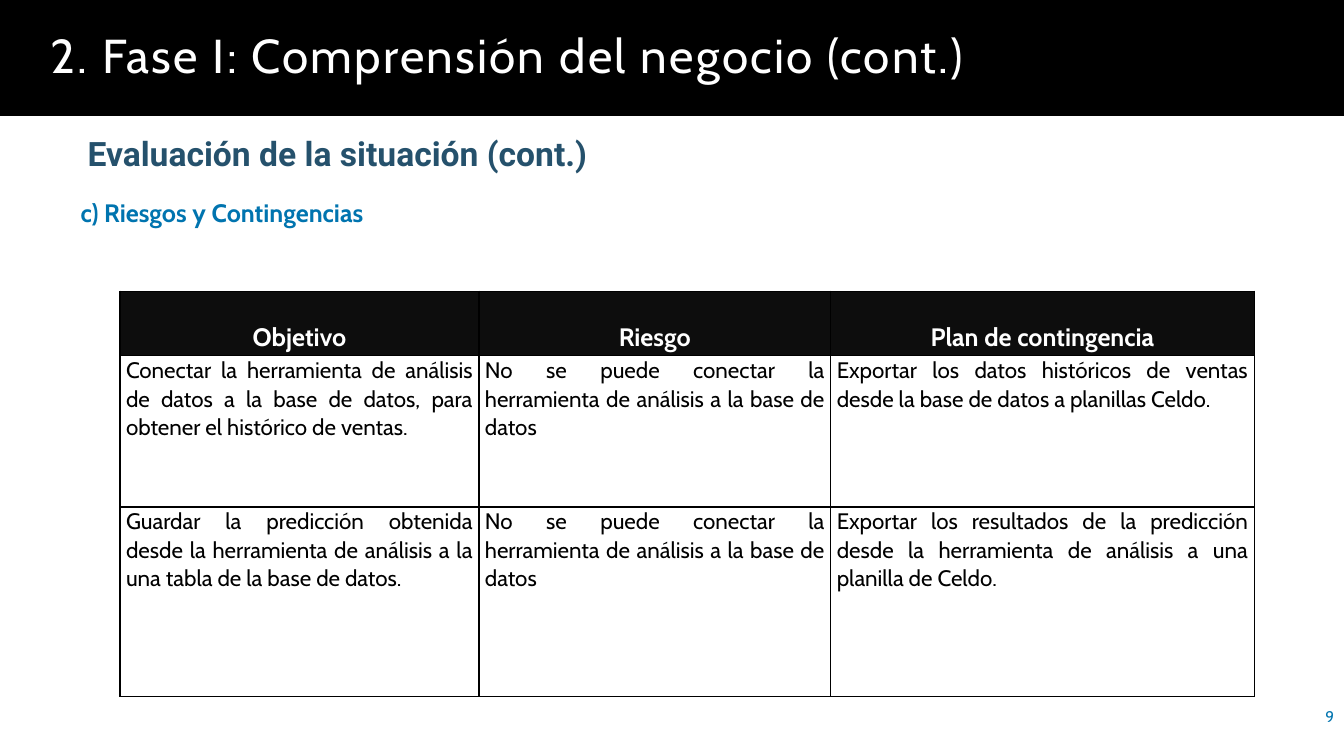
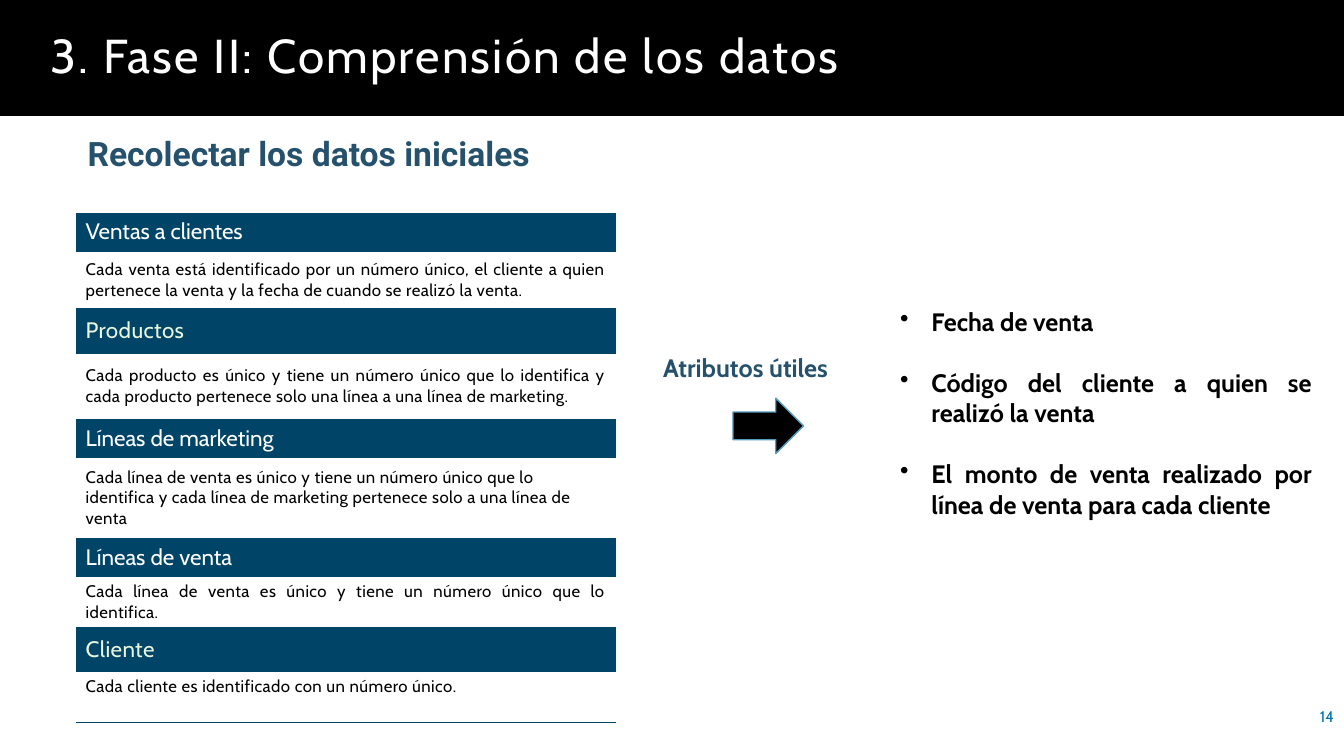
from lxml import etree
from pptx import Presentation
from pptx.dml.color import RGBColor
from pptx.enum.shapes import MSO_SHAPE as Shape
from pptx.enum.text import MSO_ANCHOR as Anchor, PP_ALIGN as Align
from pptx.oxml.ns import qn
from pptx.util import Inches, Pt

BLACK = RGBColor(0x00, 0x00, 0x00)
WHITE = RGBColor(0xFF, 0xFF, 0xFF)
HEADER_BLACK = RGBColor(0x0D, 0x0D, 0x0D)
BLUE = RGBColor(0x00, 0x74, 0xAF)
SLATE = RGBColor(0x25, 0x51, 0x6C)
NAVY = RGBColor(0x00, 0x45, 0x68)
PALE_GREEN = RGBColor(0xE9, 0xF6, 0xDC)
ARROW_EDGE = RGBColor(0x57, 0x9B, 0xBD)
BODY_FONT, SUBTITLE_FONT = "Cabin", "Roboto"
NO_TABLE_STYLE = "{2D5ABB26-0587-4C30-8999-92F81FD0307C}"
SLIDE_WIDTH, SLIDE_HEIGHT = 13.33, 7.5

RISK_COLUMNS = [3.56, 3.49, 4.2]
RISK_ROW_HEIGHTS = [0.64, 1.5, 1.88]
RISKS = [
    ("Objetivo", "Riesgo", "Plan de contingencia"),
    ("Conectar la herramienta de análisis de datos a la base de datos, para obtener el histórico de ventas.",
     "No se puede conectar la herramienta de análisis a la base de datos",
     "Exportar los datos históricos de ventas desde la base de datos a planillas Celdo."),
    ("Guardar la predicción obtenida desde la herramienta de análisis a la una tabla de la base de datos.",
     "No se puede conectar la herramienta de análisis a la base de datos",
     "Exportar los resultados de la predicción desde la herramienta de análisis a una planilla de Celdo."),
]

# Each table: top, then (heading, heading colour, spacing, heading height,
# description, alignment, anchor, description height)
ENTITY_TABLES = [
    (2.11, [
        ("Ventas a clientes", WHITE, 0, 0.38,
         "Cada venta está identificado por un número único, el cliente a quien pertenece la venta "
         "y la fecha de cuando se realizó la venta.", Align.JUSTIFY, Anchor.MIDDLE, 0.57),
        ("Productos", PALE_GREEN, 0.3, 0.44,
         "Cada producto es único y tiene un número único que lo identifica y cada producto pertenece "
         "solo una línea a una línea de marketing.", Align.JUSTIFY, Anchor.MIDDLE, 0.66),
        ("Líneas de marketing", WHITE, 0, 0.38,
         "Cada línea de venta es único y tiene un número único que lo identifica y cada línea de "
         "marketing pertenece solo a una línea de venta", Align.LEFT, Anchor.MIDDLE, 0.8),
    ]),
    (5.34, [
        ("Líneas de venta", WHITE, 0, 0.38,
         "Cada línea de venta es único y tiene un número único que lo identifica.",
         Align.JUSTIFY, Anchor.MIDDLE, 0.5),
        ("Cliente", PALE_GREEN, 0.3, 0.44,
         "Cada cliente es identificado con un número único.", Align.JUSTIFY, Anchor.TOP, 0.5),
    ]),
]
USEFUL_ATTRIBUTES = [
    "Fecha de venta",
    "Código del cliente a quien se realizó la venta",
    "El monto de venta realizado por línea de venta para cada cliente",
]


def write(paragraph, text, size, color, bold=False, font=BODY_FONT, align=Align.LEFT, spacing=0):
    """Fill a paragraph; spacing is the letter spacing in points."""
    run = paragraph.add_run()
    run.text = text
    paragraph.alignment = align
    paragraph.font.name = font
    paragraph.font.size = Pt(size)
    paragraph.font.bold = bold
    paragraph.font.color.rgb = color
    if spacing:
        run.font.size = Pt(size)
        run._r.get_or_add_rPr().set("spc", str(round(spacing * 100)))


def set_insets(target, horizontal, vertical):
    target.margin_left = target.margin_right = Inches(horizontal)
    target.margin_top = target.margin_bottom = Inches(vertical)


def add_text_box(slide, left, top, width, height):
    frame = slide.shapes.add_textbox(
        Inches(left), Inches(top), Inches(width), Inches(height)).text_frame
    frame.word_wrap = True
    return frame


def add_label(slide, box, text, size, color, **style):
    frame = add_text_box(slide, *box)
    write(frame.paragraphs[0], text, size, color, **style)
    return frame


def add_block(slide, kind, left, top, width, height):
    shape = slide.shapes.add_shape(kind, Inches(left), Inches(top), Inches(width), Inches(height))
    shape.shadow.inherit = False
    shape.fill.solid()
    shape.fill.fore_color.rgb = BLACK
    return shape


def add_base_slide(presentation, title, subtitle, number):
    slide = presentation.slides.add_slide(presentation.slide_layouts[6])
    band = add_block(slide, Shape.RECTANGLE, 0, 0, SLIDE_WIDTH, 1.15)
    band.line.fill.background()
    frame = band.text_frame
    frame.word_wrap = True
    frame.vertical_anchor = Anchor.MIDDLE
    set_insets(frame, 0.5, 0.05)
    write(frame.paragraphs[0], title, 34, WHITE, spacing=1.6)
    frame.paragraphs[0].line_spacing = 0.9

    footer = add_label(slide, (10.33, 6.91, 3, 0.4), number, 11, BLUE, align=Align.RIGHT)
    footer.vertical_anchor = Anchor.MIDDLE

    heading = add_label(slide, (0.77, 1.22, 8.62, 0.75), subtitle, 24, SLATE,
                        bold=True, font=SUBTITLE_FONT)
    set_insets(heading, 0.1, 0.1)
    heading.paragraphs[0].space_before = Pt(6)
    return slide


def add_plain_table(slide, left, top, columns, rows):
    """Add an unstyled table from lists of column widths and row heights."""
    frame = slide.shapes.add_table(len(rows), len(columns), Inches(left), Inches(top),
                                   Inches(sum(columns)), Inches(sum(rows)))
    table = frame.table
    table.first_row = table.horz_banding = False
    table._tbl.tblPr.find(qn("a:tableStyleId")).text = NO_TABLE_STYLE
    for column, width in zip(table.columns, columns):
        column.width = Inches(width)
    for row, height in zip(table.rows, rows):
        row.height = Inches(height)
    return table


def set_borders(cell, sides, color, width):
    """Draw the given sides (letters from LRTB, in that order) before any fill is set."""
    properties = cell._tc.get_or_add_tcPr()
    for side in sides:
        line = etree.SubElement(properties, qn(f"a:ln{side}"), w=str(Pt(width)))
        fill = etree.SubElement(line, qn("a:solidFill"))
        etree.SubElement(fill, qn("a:srgbClr"), val=str(color))


def fill_cell(cell, color):
    cell.fill.solid()
    cell.fill.fore_color.rgb = color


def add_risk_table(slide):
    table = add_plain_table(slide, 1.19, 2.89, RISK_COLUMNS, RISK_ROW_HEIGHTS)
    for row_index, texts in enumerate(RISKS):
        for column_index, text in enumerate(texts):
            cell = table.cell(row_index, column_index)
            paragraph = cell.text_frame.paragraphs[0]
            set_insets(cell, 0.06, 0)
            set_borders(cell, "LRTB", BLACK, 1)
            if row_index == 0:
                fill_cell(cell, HEADER_BLACK)
                write(paragraph, text, 18, WHITE, bold=True, align=Align.CENTER)
                paragraph.line_spacing = 2.0
            else:
                write(paragraph, text, 16, BLACK, align=Align.JUSTIFY)
                paragraph.line_spacing = 1.05


def add_entity_table(slide, top, entities):
    heights = [height for entity in entities for height in (entity[3], entity[7])]
    table = add_plain_table(slide, 0.75, top, [5.36], heights)
    for index, entity in enumerate(entities):
        heading, color, spacing, _, description, align, anchor, _ = entity
        heading_cell = table.cell(2 * index, 0)
        description_cell = table.cell(2 * index + 1, 0)
        for cell, fill in ((heading_cell, NAVY), (description_cell, WHITE)):
            set_borders(cell, "TB", NAVY, 0.25)
            fill_cell(cell, fill)
        heading_cell.vertical_anchor = Anchor.MIDDLE
        description_cell.vertical_anchor = anchor
        write(heading_cell.text_frame.paragraphs[0], heading, 16, color, spacing=spacing)
        write(description_cell.text_frame.paragraphs[0], description, 12, BLACK,
              align=align, spacing=0.3)


def add_bullets(slide, box, items):
    frame = add_text_box(slide, *box)
    for index, item in enumerate(items):
        paragraph = frame.add_paragraph() if index else frame.paragraphs[0]
        write(paragraph, item, 18, BLACK, bold=True, align=Align.JUSTIFY)
        if index:
            paragraph.space_before = Pt(22)
        properties = paragraph._p.get_or_add_pPr()
        properties.set("marL", str(Inches(0.31)))
        properties.set("indent", str(Inches(-0.31)))
        bullet = etree.Element(qn("a:buChar"), char="•")
        properties.find(qn("a:defRPr")).addprevious(bullet)


def build_risks_slide(presentation):
    slide = add_base_slide(presentation, "2. Fase I: Comprensión del negocio (cont.)",
                           "Evaluación de la situación (cont.)", "9")
    add_label(slide, (0.7, 1.91, 3.55, 0.4), "c) Riesgos y Contingencias", 18, BLUE, bold=True)
    add_risk_table(slide)


def build_data_slide(presentation):
    slide = add_base_slide(presentation, "3. Fase II: Comprensión de los datos",
                           "Recolectar los datos iniciales", "14")
    for top, entities in ENTITY_TABLES:
        add_entity_table(slide, top, entities)
    add_bullets(slide, (8.83, 2.99, 4.28, 2.22), USEFUL_ATTRIBUTES)
    arrow = add_block(slide, Shape.RIGHT_ARROW, 7.27, 3.95, 0.7, 0.55)
    arrow.line.color.rgb = ARROW_EDGE
    arrow.line.width = Pt(1)
    add_label(slide, (6.48, 3.45, 2.04, 0.4), "Atributos útiles", 18, SLATE, bold=True)


def main():
    presentation = Presentation()
    presentation.slide_width = Inches(SLIDE_WIDTH)
    presentation.slide_height = Inches(SLIDE_HEIGHT)
    build_risks_slide(presentation)
    build_data_slide(presentation)
    presentation.save("out.pptx")


if __name__ == "__main__":
    main()
